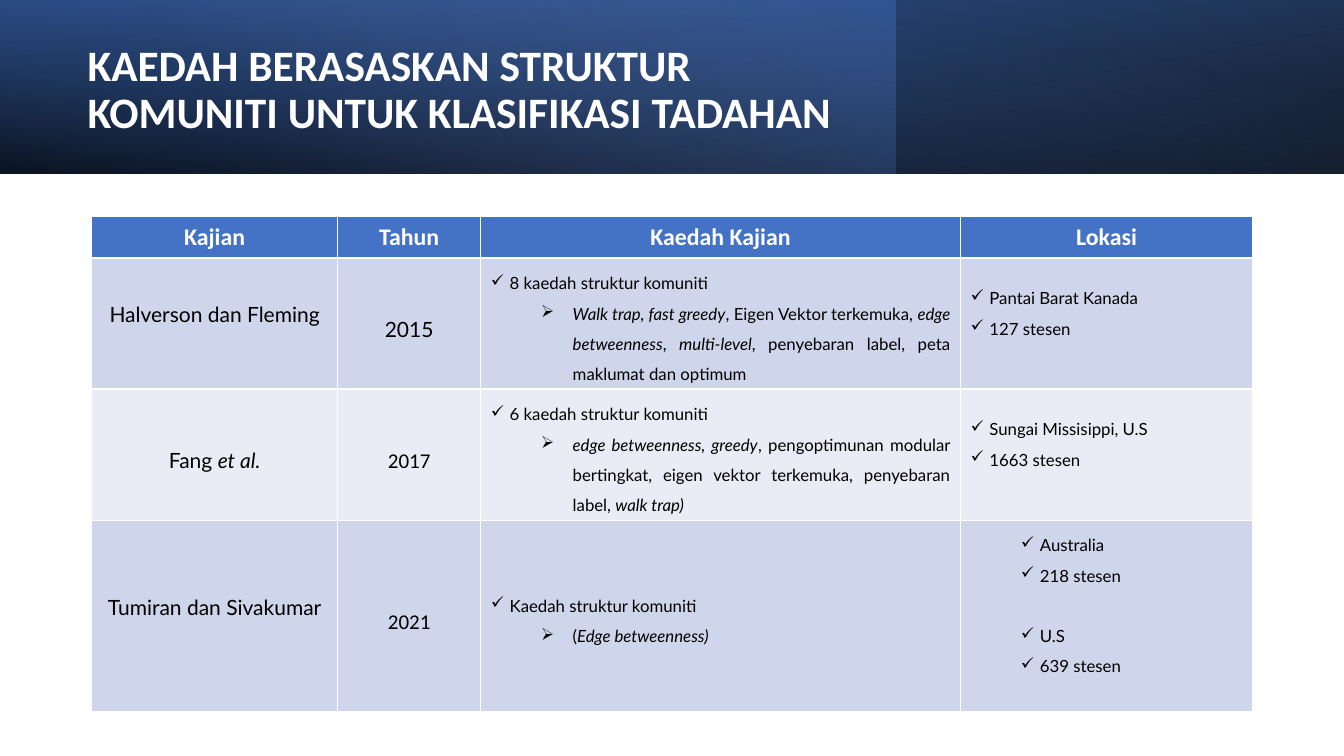
from lxml import etree
from pptx import Presentation
from pptx.dml.color import RGBColor
from pptx.enum.shapes import MSO_SHAPE
from pptx.enum.text import MSO_ANCHOR, PP_ALIGN
from pptx.oxml import parse_xml
from pptx.oxml.ns import nsdecls, qn
from pptx.util import Pt

RECTANGLE = MSO_SHAPE.RECTANGLE
MIDDLE = MSO_ANCHOR.MIDDLE
LEFT, CENTER, JUSTIFY = PP_ALIGN.LEFT, PP_ALIGN.CENTER, PP_ALIGN.JUSTIFY

WHITE = RGBColor(0xFF, 0xFF, 0xFF)
BLACK = RGBColor(0x00, 0x00, 0x00)
BLUE = RGBColor(0x44, 0x72, 0xC4)
DARK_BLUE = RGBColor(0x2F, 0x55, 0x97)
LIGHT_BLUE = RGBColor(0x8F, 0xAA, 0xDC)
ROW_FILLS = [RGBColor(0xCF, 0xD5, 0xEA), RGBColor(0xE9, 0xEB, 0xF5)]

HEADING_FONT, BODY_FONT = "Calibri", "Lato"
SLIDE_WIDTH, SLIDE_HEIGHT = 960, 540
BAND_HEIGHT = 123.84
BODY_LINE = 21.6  # one 12 pt line at 1.5 spacing

CHECK, ARROW = "✓", "➢"
CHECK_INDENT, ARROW_INDENT, INNER_CHECK_INDENT = (13.5, -13.5), (58.5, -22.5), (49.5, -13.5)

COLUMN_WIDTHS = [175.7, 102.2, 342.7, 208.8]
ROW_HEIGHTS = [29.5, 92.9, 92.9, 136.1]
HEADINGS = ["Kajian", "Tahun", "Kaedah Kajian", "Lokasi"]

# Text between asterisks is italic; a raised study sits half a line higher.
STUDIES = [
    dict(study="Halverson dan Fleming", raised=True, year="2015", year_font=BODY_FONT,
         method="8 kaedah struktur komuniti",
         detail="*Walk trap, fast greedy*, Eigen Vektor terkemuka, *edge betweenness*, "
                "*multi-level*, penyebaran label, peta maklumat dan optimum",
         places=[["Pantai Barat Kanada", "127 stesen"]]),
    dict(study="Fang *et al.*", raised=False, year="2017", year_font=HEADING_FONT,
         method="6 kaedah struktur komuniti",
         detail="*edge betweenness, greedy*, pengoptimunan modular bertingkat, "
                "eigen vektor terkemuka, penyebaran label, *walk trap)*",
         places=[["Sungai Missisippi, U.S", "1663 stesen"]]),
    dict(study="Tumiran dan Sivakumar", raised=True, year="2021", year_font=HEADING_FONT,
         method="Kaedah struktur komuniti",
         detail="(*Edge betweenness)*",
         places=[["Australia", "218 stesen"], ["U.S", "639 stesen"]]),
]


class SlideBuilder:
    def __init__(self, page):
        self.page = page

    def gradient_band(self, width, stops, angle, rotation=0, flipped=False):
        """Draw a top band; each stop is (position %, colour, opacity %)."""
        band = self.page.shapes.add_shape(RECTANGLE, 0, 0, Pt(width), Pt(BAND_HEIGHT))
        band.shadow.inherit = False
        band.line.fill.background()
        band.rotation = rotation
        properties = band._element.spPr
        if flipped:
            properties.find(qn("a:xfrm")).set("flipH", "1")
        marks = "".join(
            f'<a:gs pos="{position * 1000}"><a:srgbClr val="{colour}">'
            f'<a:alpha val="{opacity * 1000}"/></a:srgbClr></a:gs>'
            for position, colour, opacity in stops)
        properties.find(qn("a:prstGeom")).addnext(parse_xml(
            f'<a:gradFill {nsdecls("a")} rotWithShape="1"><a:gsLst>{marks}</a:gsLst>'
            f'<a:lin ang="{angle * 60000}" scaled="0"/></a:gradFill>'))

    def add_text(self, para, text, size, font=BODY_FONT, colour=BLACK, bold=False,
                 align=CENTER, spacing=1.5):
        para.alignment = align
        para.line_spacing = spacing
        for index, part in enumerate(text.split("*")):
            if part:
                span = para.add_run()
                span.text = part
                span.font.name = font
                span.font.size = Pt(size)
                span.font.bold = bold
                span.font.italic = index % 2 == 1
                span.font.color.rgb = colour

    def bullet(self, para, text, symbol, indent, align, gap=0):
        para.space_before = Pt(gap)
        self.add_text(para, text, 12, align=align)
        margin, hanging = indent
        properties = para._p.get_or_add_pPr()
        properties.set("marL", str(Pt(margin)))
        properties.set("indent", str(Pt(hanging)))
        etree.SubElement(properties, qn("a:buChar")).set("char", symbol)

    def title(self, text):
        box = self.page.shapes.add_textbox(Pt(55.5), Pt(19.5), Pt(556), Pt(91.5))
        frame = box.text_frame
        frame.word_wrap = True
        frame.vertical_anchor = MIDDLE
        self.add_text(frame.paragraphs[0], text, 31, HEADING_FONT, WHITE, True, LEFT, 0.9)

    def cell(self, table, row, column, fill, raised=False):
        """Style one cell and return its text frame."""
        cell = table.cell(row, column)
        cell.fill.solid()
        cell.fill.fore_color.rgb = fill
        cell.vertical_anchor = MIDDLE
        cell.margin_left = cell.margin_right = Pt(7.2)
        cell.margin_top = Pt(3.6)
        cell.margin_bottom = Pt(3.6 + (BODY_LINE if raised else 0))
        return cell.text_frame

    def places(self, frame, groups):
        indent = CHECK_INDENT if len(groups) == 1 else INNER_CHECK_INDENT
        para = frame.paragraphs[0]
        for group_index, group in enumerate(groups):
            for line_index, line in enumerate(group):
                if group_index or line_index:
                    para = frame.add_paragraph()
                gap = BODY_LINE if group_index and not line_index else 0
                self.bullet(para, line, CHECK, indent, LEFT, gap)

    def study_table(self):
        table = self.page.shapes.add_table(
            len(ROW_HEIGHTS), len(COLUMN_WIDTHS), Pt(65.5), Pt(154.8),
            Pt(sum(COLUMN_WIDTHS)), Pt(sum(ROW_HEIGHTS))).table
        for column, width in zip(table.columns, COLUMN_WIDTHS):
            column.width = Pt(width)
        for row, height in zip(table.rows, ROW_HEIGHTS):
            row.height = Pt(height)
        for column, heading in enumerate(HEADINGS):
            frame = self.cell(table, 0, column, BLUE)
            self.add_text(frame.paragraphs[0], heading, 17, HEADING_FONT, WHITE, True, spacing=1)
        for row, item in enumerate(STUDIES, start=1):
            fill = ROW_FILLS[(row - 1) % 2]
            frame = self.cell(table, row, 0, fill, item["raised"])
            self.add_text(frame.paragraphs[0], item["study"], 15)
            frame = self.cell(table, row, 1, fill)
            self.add_text(frame.paragraphs[0], item["year"], 15, item["year_font"])
            frame = self.cell(table, row, 2, fill)
            self.bullet(frame.paragraphs[0], item["method"], CHECK, CHECK_INDENT, JUSTIFY)
            self.bullet(frame.add_paragraph(), item["detail"], ARROW, ARROW_INDENT, JUSTIFY)
            self.places(self.cell(table, row, 3, fill, raised=True), item["places"])


def main():
    deck = Presentation()
    deck.slide_width, deck.slide_height = Pt(SLIDE_WIDTH), Pt(SLIDE_HEIGHT)
    builder = SlideBuilder(deck.slides.add_slide(deck.slide_layouts[6]))
    builder.gradient_band(SLIDE_WIDTH, [(0, BLACK, 96), (100, DARK_BLUE, 100)], 100,
                          rotation=180, flipped=True)
    builder.gradient_band(640, [(0, BLUE, 41), (74, LIGHT_BLUE, 0)], 140)
    builder.gradient_band(SLIDE_WIDTH, [(0, BLACK, 63), (78, BLUE, 15)], 260, flipped=True)
    builder.title("KAEDAH BERASASKAN STRUKTUR KOMUNITI UNTUK KLASIFIKASI TADAHAN")
    builder.study_table()
    deck.save("out.pptx")


if __name__ == "__main__":
    main()
